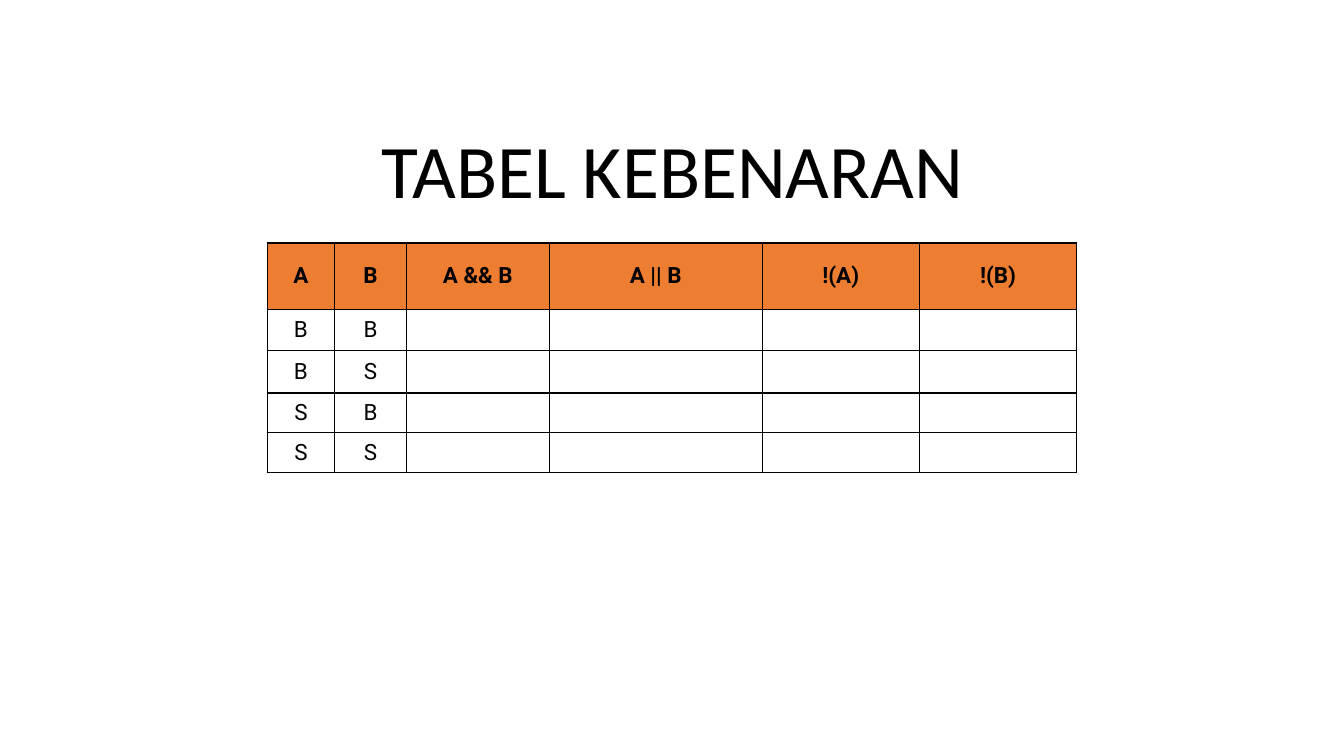
from lxml import etree
from pptx import Presentation
from pptx.dml.color import RGBColor
from pptx.enum.text import MSO_ANCHOR, MSO_AUTO_SIZE, PP_ALIGN
from pptx.oxml.ns import qn
from pptx.util import Inches, Pt

CENTER = PP_ALIGN.CENTER
MIDDLE = MSO_ANCHOR.MIDDLE
BOTTOM = MSO_ANCHOR.BOTTOM
NO_AUTOFIT = MSO_AUTO_SIZE.NONE
TITLE_ONLY = 5

BLACK, WHITE, ORANGE = "000000", "FFFFFF", "ED7D31"
COLUMN_WIDTHS = [0.67, 0.71, 1.42, 2.11, 1.56, 1.56]
ROW_HEIGHTS = [0.66, 0.41, 0.42, 0.39, 0.4]
HEADINGS = ["A", "B", "A && B", "A || B", "!(A)", "!(B)"]
TRUTH_VALUES = ["BB", "BS", "SB", "SS"]


def color(hex_value):
    """Return the colour for a hex string."""
    return RGBColor.from_string(hex_value)


def apply(target, formats):
    """Set each attribute of target from a dict."""
    for attribute, value in formats.items():
        setattr(target, attribute, value)


def write(frame, text, **font_formats):
    """Write one centred black paragraph into a text frame."""
    paragraph = frame.paragraphs[0]
    paragraph.alignment = CENTER
    if text:
        run = paragraph.add_run()
        run.text = text
        apply(run.font, font_formats)
        run.font.color.rgb = color(BLACK)
    return paragraph


def add_title(slide, text):
    """Place and format the slide title."""
    title = slide.shapes.title
    apply(title, {"left": Inches(1.67), "top": Inches(1.23),
                  "width": Inches(10), "height": Inches(0.95)})
    apply(title.text_frame, {"word_wrap": True, "auto_size": NO_AUTOFIT,
                             "vertical_anchor": BOTTOM})
    paragraph = write(title.text_frame, text, name="Calibri", size=Pt(54))
    paragraph.line_spacing = 0.9


def add_borders(cell, hex_value, width):
    """Draw solid lines on the four sides of a cell."""
    properties = cell._tc.get_or_add_tcPr()
    for position, side in enumerate(("a:lnL", "a:lnR", "a:lnT", "a:lnB")):
        line = etree.Element(qn(side), w=str(width))
        fill = etree.SubElement(line, qn("a:solidFill"))
        etree.SubElement(fill, qn("a:srgbClr"), val=hex_value)
        properties.insert(position, line)


def format_cell(cell, text, fill, bold):
    """Fill, border and write one table cell."""
    apply(cell, {"vertical_anchor": MIDDLE, "margin_top": 0,
                 "margin_bottom": 0})
    cell.fill.solid()
    cell.fill.fore_color.rgb = color(fill)
    add_borders(cell, BLACK, Pt(1))
    write(cell.text_frame, text, name="Roboto", size=Pt(16), bold=bold)


def add_truth_table(slide):
    """Add the truth table with empty result columns."""
    table = slide.shapes.add_table(
        len(ROW_HEIGHTS), len(COLUMN_WIDTHS), Inches(2.65), Inches(2.41),
        Inches(sum(COLUMN_WIDTHS)), Inches(sum(ROW_HEIGHTS))).table
    table.horz_banding = False
    for column, width in zip(table.columns, COLUMN_WIDTHS):
        column.width = Inches(width)
    for row, height in zip(table.rows, ROW_HEIGHTS):
        row.height = Inches(height)
    results = [""] * (len(HEADINGS) - 2)
    contents = [HEADINGS] + [[*pair, *results] for pair in TRUTH_VALUES]
    for row_index, texts in enumerate(contents):
        heading = row_index == 0
        for column_index, text in enumerate(texts):
            format_cell(table.cell(row_index, column_index), text,
                        ORANGE if heading else WHITE, heading)


def main():
    """Build and save the slide."""
    presentation = Presentation()
    apply(presentation, {"slide_width": Inches(13.33),
                         "slide_height": Inches(7.5)})
    slide = presentation.slides.add_slide(
        presentation.slide_layouts[TITLE_ONLY])
    add_title(slide, "TABEL KEBENARAN")
    add_truth_table(slide)
    presentation.save("out.pptx")


if __name__ == "__main__":
    main()
